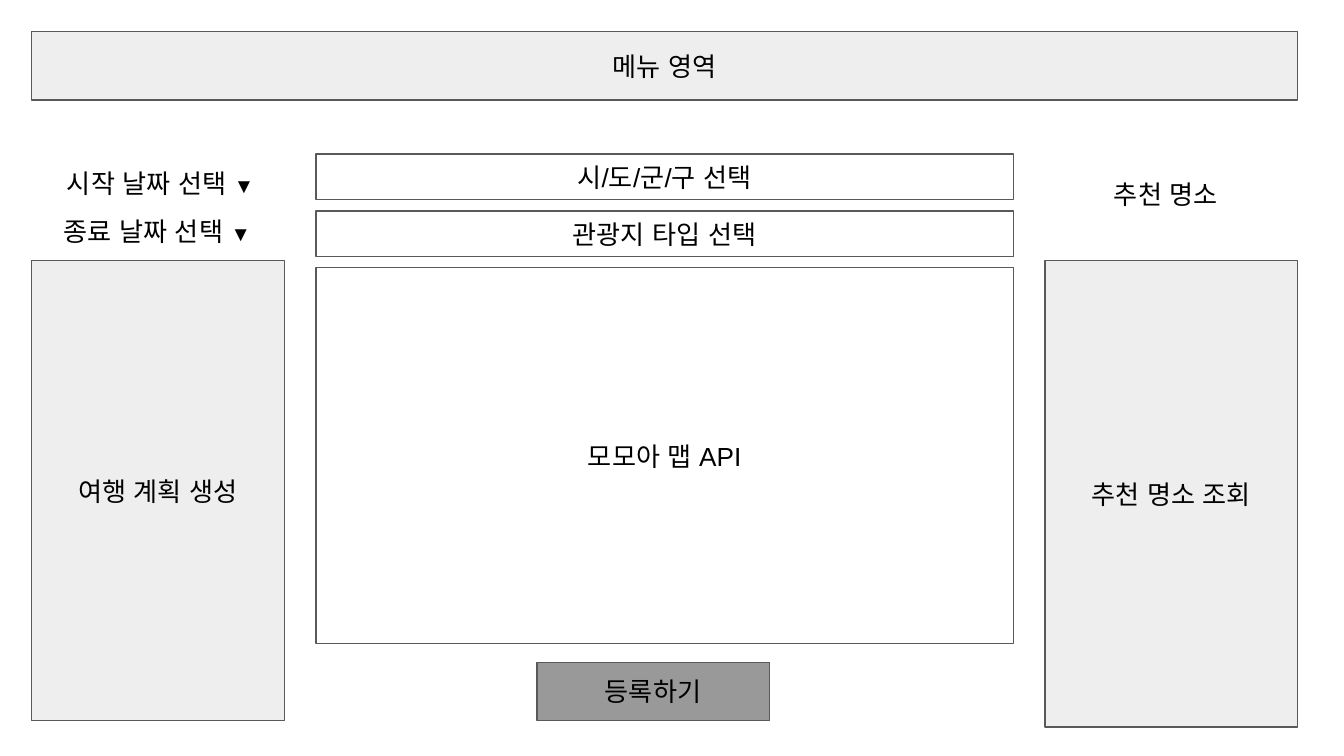
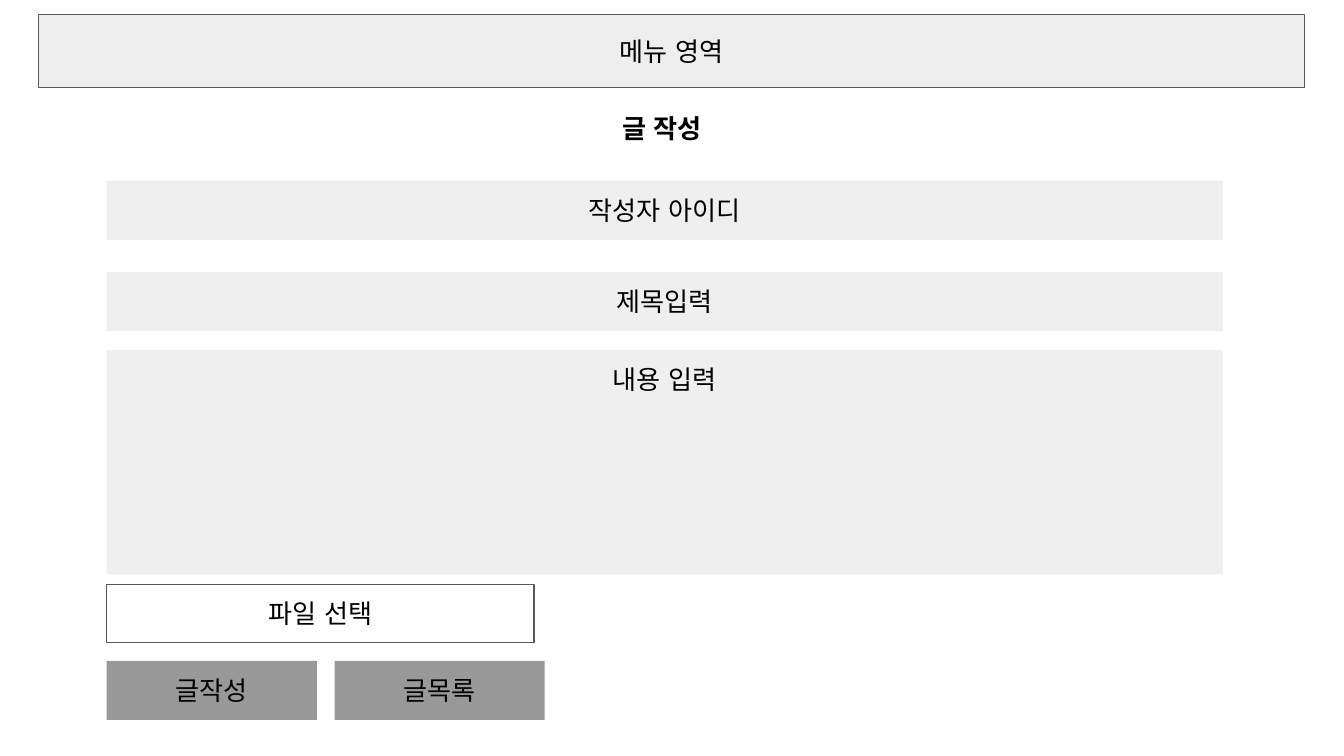
from lxml.etree import SubElement
from pptx import Presentation
from pptx.dml.color import RGBColor
from pptx.enum.lang import MSO_LANGUAGE_ID as Language
from pptx.enum.shapes import MSO_SHAPE
from pptx.enum.text import MSO_ANCHOR as Anchor, MSO_AUTO_SIZE as AutoSize, PP_ALIGN as Align
from pptx.oxml.ns import qn
from pptx.util import Inches, Pt

COLORS = {
    "text": "000000",
    "outline": "595959",
    "panel": "EEEEEE",
    "field": "EFEFEF",
    "button": "999999",
    "white": "FFFFFF",
}
FONT = "Arial"

deck = Presentation()
deck.slide_width = Inches(10)
deck.slide_height = deck.slide_width * 9 // 16
blank = deck.slide_layouts[6]
CELL = deck.slide_width / 100  # square grid: 100 columns across the slide


def color(name):
    return RGBColor.from_string(COLORS[name])


def put(slide, text, col, row, cols, rows, *, fill=None, outline=False,
        align=Align.CENTER, anchor=Anchor.MIDDLE, grow=False, bold=False, mark=""):
    """Place text in a grid area, boxed if it has a fill; mark is a smaller trailing symbol."""
    area = [round(n * CELL) for n in (col, row, cols, rows)]
    if fill:
        item = slide.shapes.add_shape(MSO_SHAPE.RECTANGLE, *area)
        item.shadow.inherit = False
        item.fill.solid()
        item.fill.fore_color.rgb = color(fill)
        if outline:
            item.line.color.rgb = color("outline")
            item.line.width = Pt(0.75)
        else:
            item.line.fill.background()
    else:
        item = slide.shapes.add_textbox(*area)
    frame = item.text_frame
    frame.word_wrap = True
    frame.auto_size = AutoSize.SHAPE_TO_FIT_TEXT if grow else AutoSize.NONE
    frame.vertical_anchor = anchor
    frame.margin_left = frame.margin_right = frame.margin_top = frame.margin_bottom = Inches(0.1)
    paragraph = frame.paragraphs[0]
    paragraph.alignment = align
    for words, size in ((text, 14), (mark, 11)):
        if words:
            run = paragraph.add_run()
            run.text = words
            run.font.name = FONT
            run.font.size = Pt(size)
            run.font.bold = bold
            run.font.language_id = Language.KOREAN
            run.font.color.rgb = color("text")
            SubElement(run.font._element, qn("a:ea"), typeface=FONT)


PANEL = dict(fill="panel", outline=True)
OPEN_BOX = dict(fill="white", outline=True)
LABEL = dict(anchor=Anchor.TOP, grow=True)
MENU_COLS = 94.2
LINE_ROWS = 4.4  # height of one line of text with its margins

# Travel planner: side panels around a map
planner = deck.slides.add_slide(blank)
left, side_cols, gutter = 2.35, 18.8, 2.35
middle = left + side_cols + gutter
middle_cols = MENU_COLS - 2 * (side_cols + gutter)
right = middle + middle_cols + gutter
panel_top = 19.4

put(planner, "메뉴 영역", left, 2.35, MENU_COLS, 5.1, **PANEL)
put(planner, "여행 계획 생성", left, panel_top, side_cols, 34.2, **PANEL)
put(planner, "추천 명소 조회", right, panel_top, side_cols, 34.7, **PANEL)
put(planner, "모모아 맵 API", middle, 19.9, middle_cols, 28, **OPEN_BOX)
put(planner, "등록하기", 39.95, 49.3, 17.3, 4.3, fill="button", outline=True)
put(planner, "추천 명소", 78.9, 12.3, 15.7, LINE_ROWS, **LABEL)
put(planner, "시작 날짜 선택 ", left, 11.45, 19.2, LINE_ROWS, mark="▼", **LABEL)
put(planner, "종료 날짜 선택 ", 3.75, 15, 19.2, LINE_ROWS, mark="▼", align=Align.LEFT, **LABEL)
for step, choice in enumerate(("시/도/군/구 선택", "관광지 타입 선택")):
    put(planner, choice, middle, 11.45 + step * 4.25, middle_cols, 3.4, **OPEN_BOX)

# Post editor: stacked input fields with buttons below
editor = deck.slides.add_slide(blank)
form_left, form_cols = 7.94, 83.05

put(editor, "글 작성", 45.3, 7.4, 38.8, LINE_ROWS, align=Align.LEFT, bold=True, **LABEL)
put(editor, "메뉴 영역", 2.88, 1.1, MENU_COLS, 5.4, **PANEL)
for prompt, top in (("작성자 아이디", 13.45), ("제목입력", 20.25)):
    put(editor, prompt, form_left, top, form_cols, LINE_ROWS, fill="field", **LABEL)
put(editor, "내용 입력", form_left, 26.05, form_cols, 16.7, fill="field", anchor=Anchor.TOP)
put(editor, "파일 선택", form_left, 43.5, 31.8, 4.3, **OPEN_BOX)
for step, action in enumerate(("글작성", "글목록")):
    put(editor, action, form_left + step * 16.95, 49.17, 15.64, LINE_ROWS, fill="button", **LABEL)

deck.save("out.pptx")
